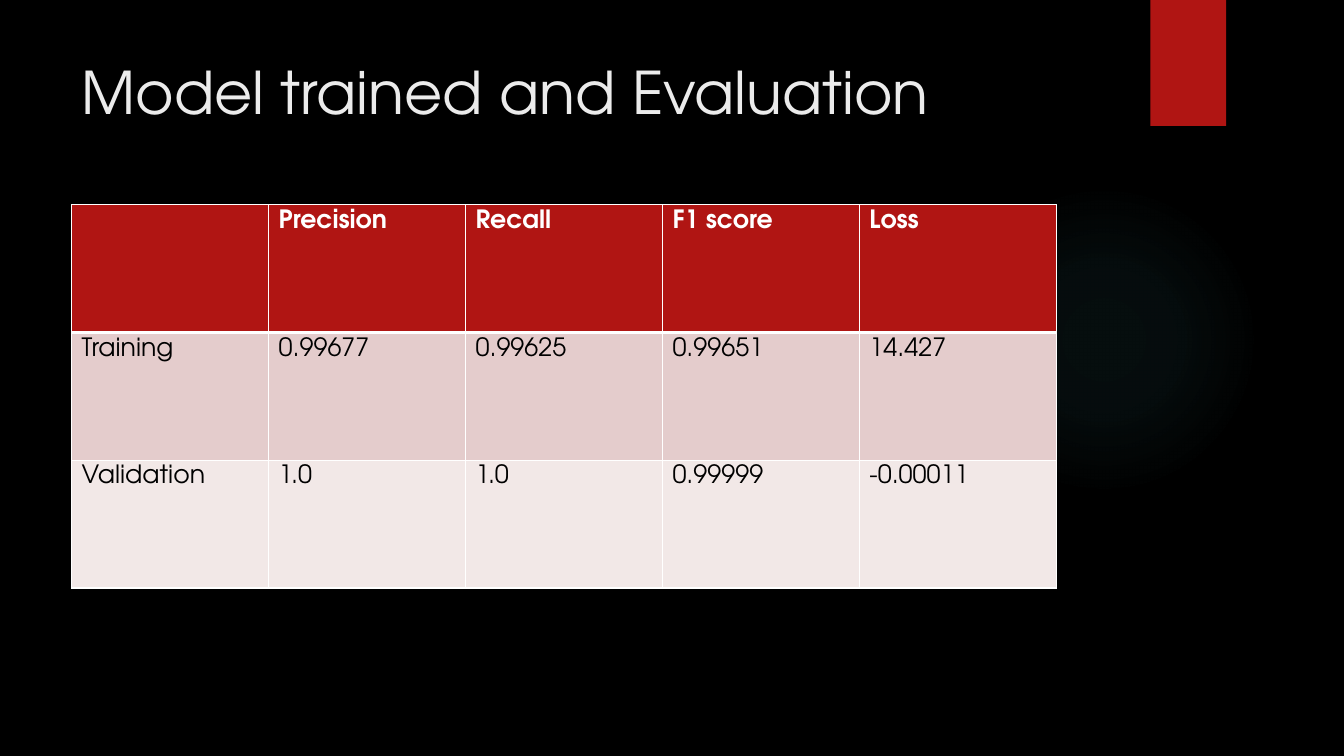
from dataclasses import dataclass

from lxml import etree
from pptx import Presentation
from pptx.dml.color import RGBColor
from pptx.enum.shapes import MSO_SHAPE
from pptx.enum.text import MSO_ANCHOR, MSO_AUTO_SIZE, PP_ALIGN
from pptx.oxml.ns import qn
from pptx.util import Inches, Pt

RECTANGLE, ELLIPSE = MSO_SHAPE.RECTANGLE, MSO_SHAPE.OVAL
TOP, LEFT, NO_FIT = MSO_ANCHOR.TOP, PP_ALIGN.LEFT, MSO_AUTO_SIZE.NONE

BLACK = RGBColor(0x00, 0x00, 0x00)
WHITE = RGBColor(0xFF, 0xFF, 0xFF)
RED = RGBColor(0xB0, 0x15, 0x13)
ROSE = RGBColor(0xE4, 0xCC, 0xCC)
PALE_ROSE = RGBColor(0xF2, 0xE8, 0xE7)
TITLE_GREY = RGBColor(0xEB, 0xEB, 0xEB)
TEAL = RGBColor(0x50, 0xB9, 0xC1)

FONT = "TeX Gyre Adventor"
SLIDE_WIDTH, SLIDE_HEIGHT = Inches(13.33), Inches(7.5)
THIN, THICK = Pt(1), Pt(3)


@dataclass(frozen=True)
class Area:
    """A rectangle in percent of the slide's width and height."""
    left: float
    top: float
    width: float
    height: float

    def lengths(self) -> tuple[int, int, int, int]:
        return (int(SLIDE_WIDTH * self.left / 100), int(SLIDE_HEIGHT * self.top / 100),
                int(SLIDE_WIDTH * self.width / 100), int(SLIDE_HEIGHT * self.height / 100))


@dataclass(frozen=True)
class TableRow:
    texts: tuple[str, ...]
    fill: RGBColor
    color: RGBColor = BLACK
    bold: bool = False
    top_line: int = THIN
    bottom_line: int = THIN


@dataclass(frozen=True)
class GlowStop:
    position: int
    opacity: int


TITLE_AREA = Area(5.33, 6.67, 77.2, 20.4)
TABLE_AREA = Area(5.33, 27.07, 73.27, 50.72)
GLOW_AREA = Area(70.59, 24.4, 23.1, 41.07)
TAB_AREA = Area(85.6, 0, 5.63, 16.67)

GLOW_STOPS = (GlowStop(0, 7), GlowStop(36, 6), GlowStop(69, 0))
ROWS = (
    TableRow(("", "Precision", "Recall", "F1 score", "Loss"), RED, WHITE,
             bold=True, bottom_line=THICK),
    TableRow(("Training", "0.99677", "0.99625", "0.99651", "14.427"), ROSE, top_line=THICK),
    TableRow(("Validation", "1.0", "1.0", "0.99999", "-0.00011"), PALE_ROSE),
)


def write(frame, text: str, *, size: float, color: RGBColor, bold: bool = False) -> None:
    para = frame.paragraphs[0]
    para.alignment = LEFT
    span = para.add_run()
    span.text = text
    span.font.name = FONT
    span.font.size = Pt(size)
    span.font.bold = bold
    span.font.color.rgb = color


def add_plain_shape(page, kind, area: Area, color: RGBColor):
    shape = page.shapes.add_shape(kind, *area.lengths())
    shape.shadow.inherit = False
    shape.fill.solid()
    shape.fill.fore_color.rgb = color
    shape.line.fill.background()
    return shape


def add_glow(page) -> None:
    """Draw an ellipse that fades from its centre outwards."""
    glow = add_plain_shape(page, ELLIPSE, GLOW_AREA, TEAL)
    solid = glow.fill._xPr.find(qn("a:solidFill"))
    gradient = etree.Element(qn("a:gradFill"), rotWithShape="1")
    stops = etree.SubElement(gradient, qn("a:gsLst"))
    for stop in GLOW_STOPS:
        entry = etree.SubElement(stops, qn("a:gs"), pos=str(stop.position * 1000))
        color = etree.SubElement(entry, qn("a:srgbClr"), val=str(TEAL))
        etree.SubElement(color, qn("a:alpha"), val=str(stop.opacity * 1000))
    circle = etree.SubElement(gradient, qn("a:path"), path="circle")
    etree.SubElement(circle, qn("a:fillToRect"), l="50000", t="50000", r="50000", b="50000")
    solid.getparent().replace(solid, gradient)


def set_borders(cell, row: TableRow) -> None:
    properties = cell._tc.get_or_add_tcPr()
    widths = {"lnL": THIN, "lnR": THIN, "lnT": row.top_line, "lnB": row.bottom_line}
    for index, (side, width) in enumerate(widths.items()):
        line = etree.Element(qn(f"a:{side}"), w=str(int(width)))
        solid = etree.SubElement(line, qn("a:solidFill"))
        etree.SubElement(solid, qn("a:srgbClr"), val=str(WHITE))
        properties.insert(index, line)


def add_scores(page) -> None:
    frame = page.shapes.add_table(len(ROWS), len(ROWS[0].texts), *TABLE_AREA.lengths())
    for row, cells in zip(ROWS, frame.table.rows):
        for text, cell in zip(row.texts, cells.cells):
            cell.fill.solid()
            cell.fill.fore_color.rgb = row.fill
            cell.vertical_anchor = TOP
            set_borders(cell, row)
            if text:
                write(cell.text_frame, text, size=18, color=row.color, bold=row.bold)


def add_title(page, text: str) -> None:
    title = page.shapes.title
    title.left, title.top, title.width, title.height = TITLE_AREA.lengths()
    frame = title.text_frame
    frame.word_wrap = True
    frame.auto_size = NO_FIT
    frame.vertical_anchor = TOP
    write(frame, text, size=42, color=TITLE_GREY)


def main() -> None:
    deck = Presentation()
    deck.slide_width, deck.slide_height = SLIDE_WIDTH, SLIDE_HEIGHT
    page = deck.slides.add_slide(deck.slide_layouts.get_by_name("Title Only"))
    page.background.fill.solid()
    page.background.fill.fore_color.rgb = BLACK

    # Backdrop
    add_glow(page)
    add_plain_shape(page, RECTANGLE, TAB_AREA, RED)

    # Content
    add_title(page, "Model trained and Evaluation")
    add_scores(page)
    deck.save("out.pptx")


if __name__ == "__main__":
    main()
